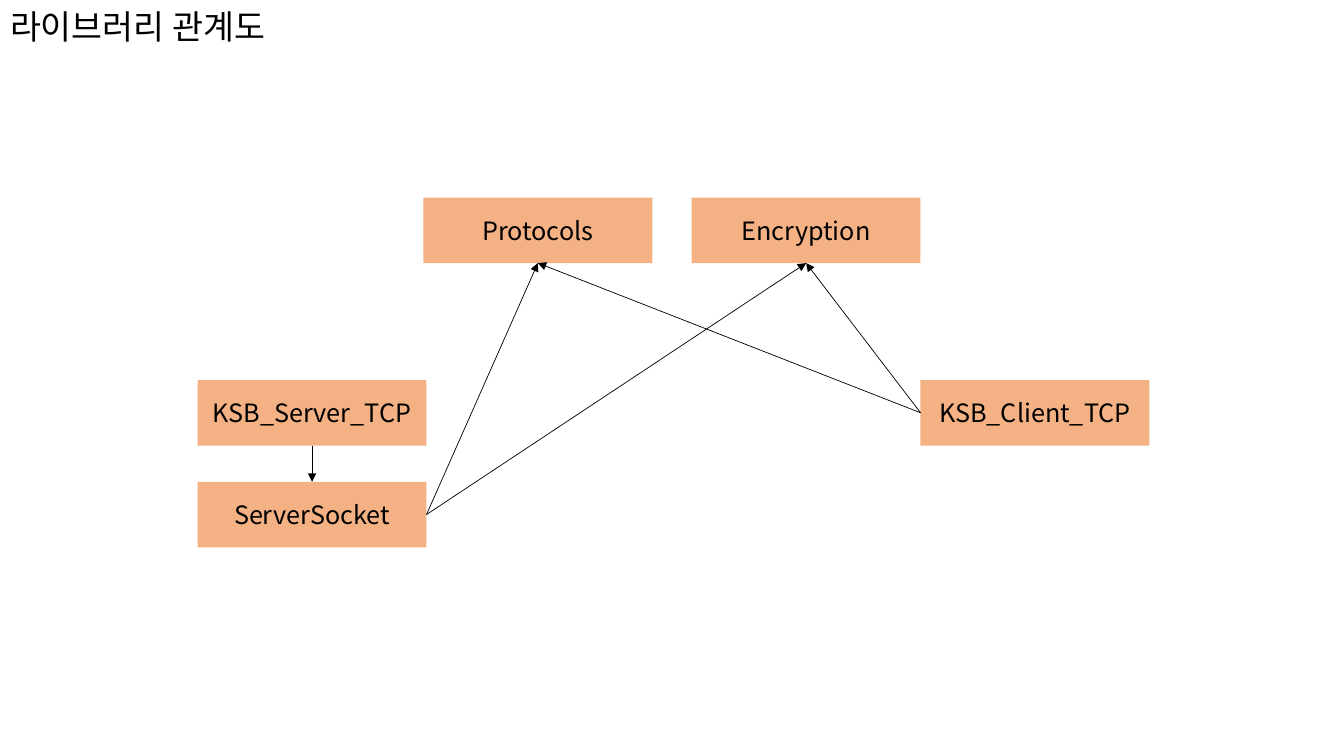
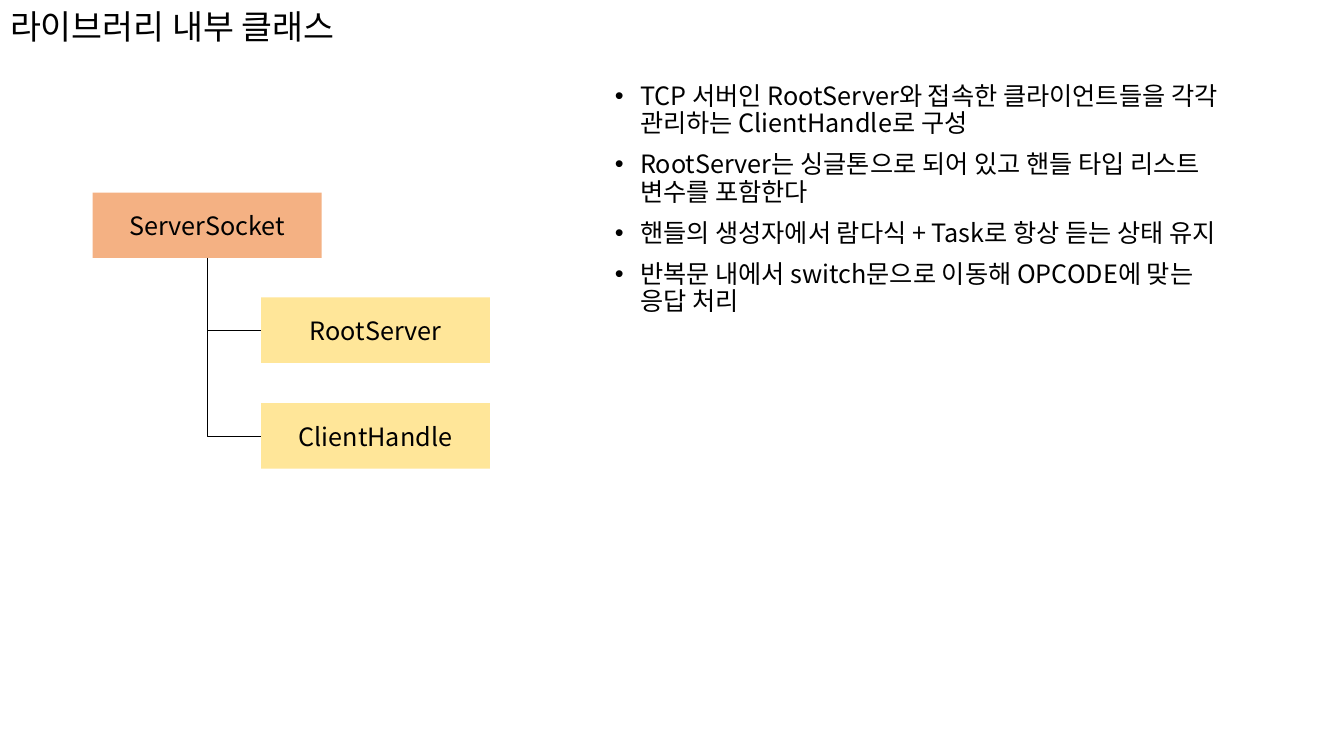
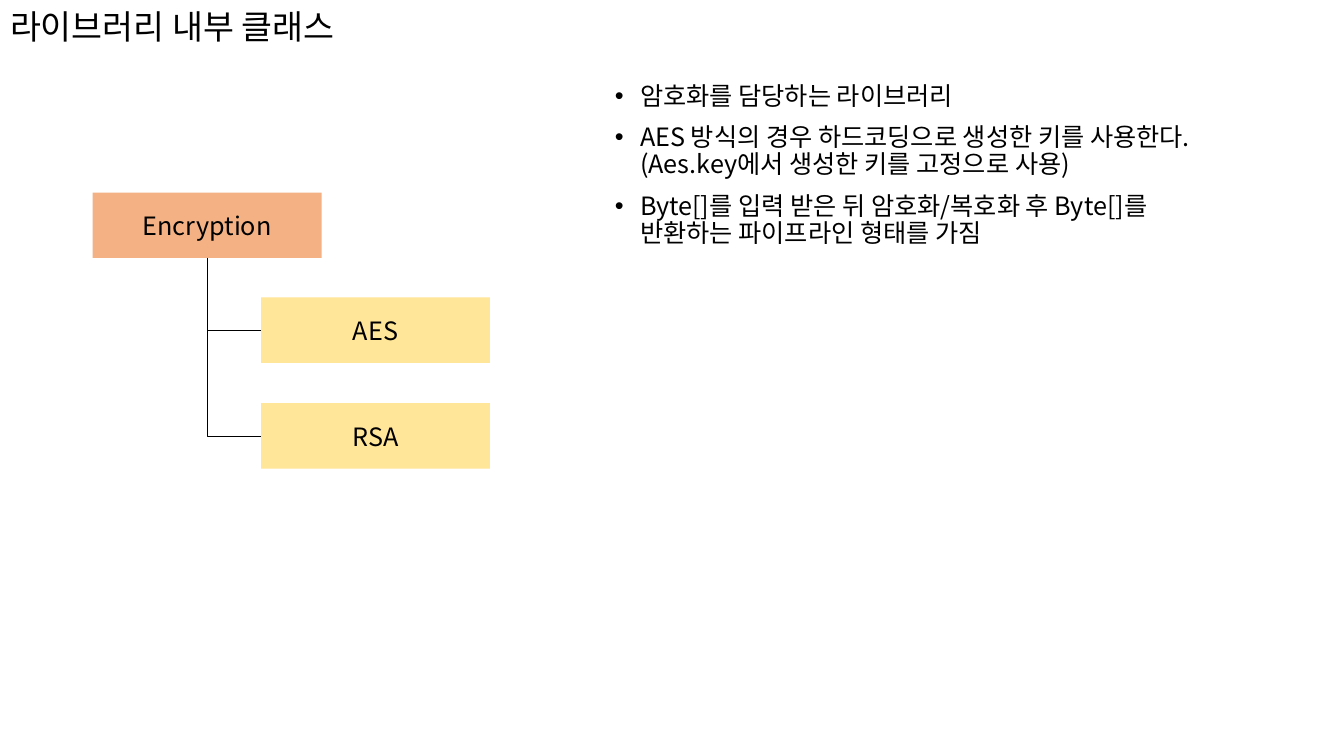
import pptx
import pptx.dml.color
import pptx.enum.shapes
import pptx.enum.text
import pptx.oxml.ns
import pptx.util
from lxml import etree

RGBColor = pptx.dml.color.RGBColor
qn = pptx.oxml.ns.qn

BLACK = RGBColor(0x00, 0x00, 0x00)
ORANGE = RGBColor(0xF4, 0xB1, 0x83)
YELLOW = RGBColor(0xFF, 0xE6, 0x99)
FONT = "Noto Sans CJK KR"
BOX_WIDTH, BOX_HEIGHT = 227, 65
TOP, LEFT, BOTTOM, RIGHT = range(4)


def px(length):
    return pptx.util.Emu(length * 9144)


class Diagram:
    def __init__(self):
        self.deck = pptx.Presentation()
        self.deck.slide_width = px(1333)
        self.deck.slide_height = px(750)
        self.page = None

    def style(self, para, size):
        para.font.size = pptx.util.Pt(size)
        para.font.name = FONT
        para.font.color.rgb = BLACK
        etree.SubElement(para.font._rPr, qn("a:ea"), typeface=FONT)

    def start(self, title, width):
        self.page = self.deck.slides.add_slide(self.deck.slide_layouts[5])
        box = self.page.shapes.title
        box.left, box.top, box.width, box.height = px(0), px(0), px(width), px(57)
        box.text_frame.text = title
        box.text_frame.vertical_anchor = pptx.enum.text.MSO_ANCHOR.MIDDLE
        para = box.text_frame.paragraphs[0]
        para.alignment = pptx.enum.text.PP_ALIGN.LEFT
        para.line_spacing = 0.9
        self.style(para, 24)

    def box(self, text, left, top, color=ORANGE):
        box = self.page.shapes.add_shape(
            pptx.enum.shapes.MSO_SHAPE.RECTANGLE,
            px(left), px(top), px(BOX_WIDTH), px(BOX_HEIGHT))
        box.shadow.inherit = False
        box.fill.solid()
        box.fill.fore_color.rgb = color
        box.line.fill.background()
        box.text_frame.text = text
        para = box.text_frame.paragraphs[0]
        para.alignment = pptx.enum.text.PP_ALIGN.CENTER
        self.style(para, 18)
        return box

    def connector(self, kind, source, source_side, target, target_side):
        line = self.page.shapes.add_connector(kind, 0, 0, 0, 0)
        line.begin_connect(source, source_side)
        line.end_connect(target, target_side)
        line.line.color.rgb = BLACK
        line.line.width = pptx.util.Pt(0.5)
        etree.SubElement(line._element.spPr, qn("a:effectLst"))
        return line

    def arrow(self, source, source_side, target, target_side):
        line = self.connector(pptx.enum.shapes.MSO_CONNECTOR.STRAIGHT,
                              source, source_side, target, target_side)
        etree.SubElement(line.line._get_or_add_ln(), qn("a:tailEnd"), type="triangle")

    def branch(self, parent, child):
        line = self.connector(pptx.enum.shapes.MSO_CONNECTOR.ELBOW,
                              parent, BOTTOM, child, LEFT)
        x, y = parent.left + parent.width // 2, parent.top + parent.height
        across = child.left - x
        down = child.top + child.height // 2 - y
        line.left, line.top = x + (across - down) // 2, y + (down - across) // 2
        line.width, line.height = down, across
        properties = line._element.spPr
        frame = properties.find(qn("a:xfrm"))
        for flip in ("flipH", "flipV"):
            frame.attrib.pop(flip, None)
        frame.set("rot", "16200000")
        frame.set("flipH", "1")
        properties.find(qn("a:prstGeom")).set("prst", "bentConnector2")

    def bullets(self, items):
        frame = self.page.shapes.add_textbox(px(600), px(78), px(642), px(597)).text_frame
        frame.word_wrap = True
        for index, item in enumerate(items):
            para = frame.add_paragraph() if index else frame.paragraphs[0]
            para.text = item
            para.line_spacing = 0.9
            para.space_before = pptx.util.Pt(10)
            properties = para._p.get_or_add_pPr()
            properties.set("marL", str(px(25)))
            properties.set("indent", str(-px(25)))
            etree.SubElement(properties, qn("a:buFont"), typeface="Arial")
            etree.SubElement(properties, qn("a:buChar"), char="•")
            self.style(para, 18)

    def class_page(self, library, classes, items):
        self.start("라이브러리 내부 클래스", 386)
        parent = self.box(library, 92, 191)
        for index, name in enumerate(classes):
            self.branch(parent, self.box(name, 259, 295 + 105 * index, YELLOW))
        self.bullets(items)

    def relation_page(self):
        self.start("라이브러리 관계도", 315)
        server = self.box("KSB_Server_TCP", 196, 377)
        client = self.box("KSB_Client_TCP", 913, 377)
        server_socket = self.box("ServerSocket", 196, 478)
        protocols = self.box("Protocols", 420, 196)
        encryption = self.box("Encryption", 686, 196)
        self.arrow(server, BOTTOM, server_socket, TOP)
        for library in (protocols, encryption):
            self.arrow(server_socket, RIGHT, library, BOTTOM)
            self.arrow(client, LEFT, library, BOTTOM)


def main():
    diagram = Diagram()
    diagram.relation_page()
    diagram.class_page("ServerSocket", ["RootServer", "ClientHandle"], [
        "TCP 서버인 RootServer와 접속한 클라이언트들을 각각 관리하는 ClientHandle로 구성",
        "RootServer는 싱글톤으로 되어 있고 핸들 타입 리스트 변수를 포함한다",
        "핸들의 생성자에서 람다식 + Task로 항상 듣는 상태 유지",
        "반복문 내에서 switch문으로 이동해 OPCODE에 맞는 응답 처리",
    ])
    diagram.class_page("Encryption", ["AES", "RSA"], [
        "암호화를 담당하는 라이브러리",
        "AES 방식의 경우 하드코딩으로 생성한 키를 사용한다.\n(Aes.key에서 생성한 키를 고정으로 사용)",
        "Byte[]를 입력 받은 뒤 암호화/복호화 후 Byte[]를 반환하는 파이프라인 형태를 가짐",
    ])
    diagram.deck.save("out.pptx")


if __name__ == "__main__":
    main()
